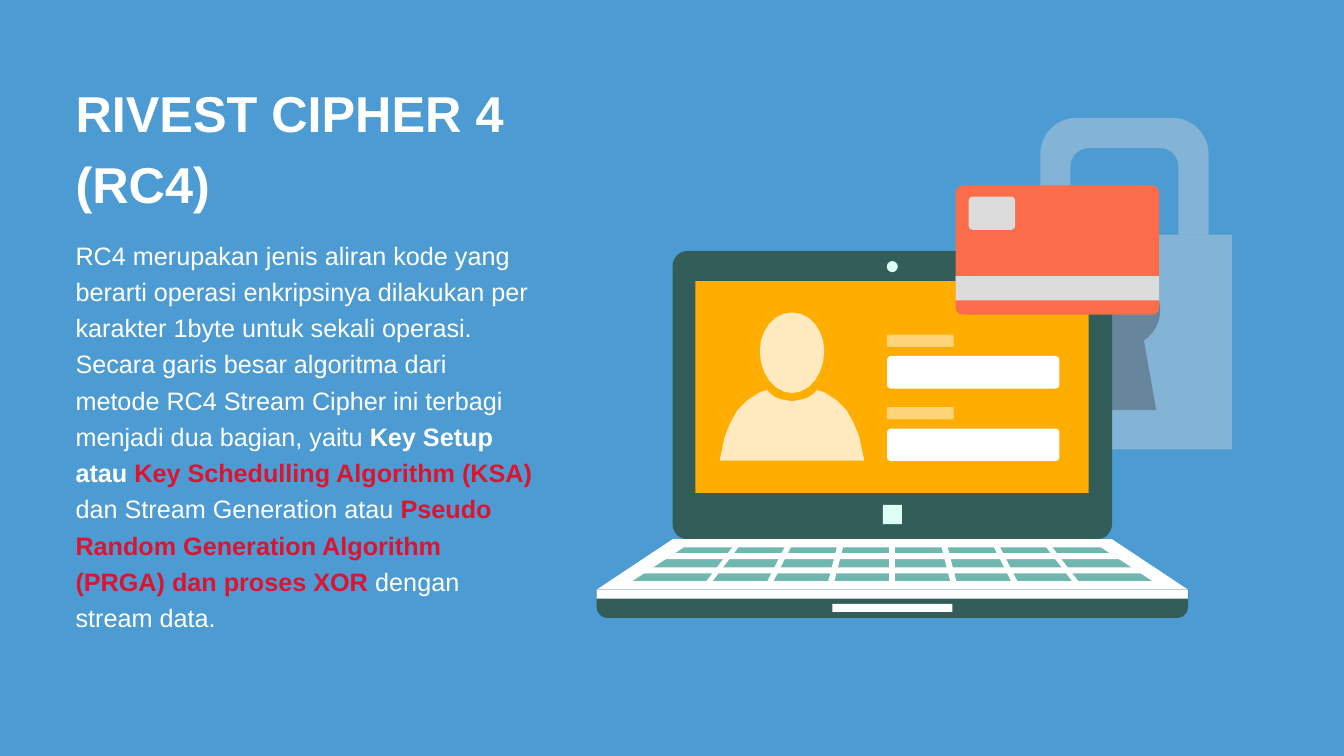
from dataclasses import dataclass
from math import cos, radians, sin

from lxml.etree import SubElement
from pptx import Presentation
from pptx.dml.color import RGBColor
from pptx.enum.shapes import MSO_SHAPE
from pptx.oxml.ns import qn
from pptx.util import Pt


@dataclass(frozen=True)
class Theme:
    """Hold the colours, font and type sizes."""
    sky: str = "4D9BD3"
    white: str = "FFFFFF"
    red: str = "DC1430"
    steel: str = "D9D9D9"
    hole: str = "404040"
    shell: str = "325D58"
    screen: str = "FFAD00"
    mint: str = "DEFFF3"
    keys: str = "70B7AF"
    card: str = "FB6D4A"
    chip: str = "DBDBDB"
    font: str = "Arial"
    title: int = 36
    body: int = 18


THEME = Theme()


def paint(shape, color, alpha=100):
    """Give a shape a flat fill with no line or shadow."""
    shape.shadow.inherit = False
    shape.line.fill.background()
    shape.fill.solid()
    shape.fill.fore_color.rgb = RGBColor.from_string(color)
    if alpha < 100:
        tint = shape.fill._xPr.find(qn("a:solidFill"))[0]
        SubElement(tint, qn("a:alpha")).set("val", str(alpha * 1000))
    return shape


def block(art, box, color, round=0, kind=MSO_SHAPE.RECTANGLE, alpha=100):
    """Draw a preset shape, with round corners if a radius is given."""
    if round:
        kind = MSO_SHAPE.ROUNDED_RECTANGLE
    shape = art.add_shape(kind, *map(Pt, box))
    if round:
        shape.adjustments[0] = round / min(box[2:])
    return paint(shape, color, alpha)


def shard(art, origin, points, color, alpha=100):
    """Draw a closed outline from points relative to an origin."""
    spots = [((origin[0] + x) * 100, (origin[1] + y) * 100) for x, y in points]
    pen = art.build_freeform(*spots[0], scale=Pt(1) / 100)
    pen.add_line_segments(spots[1:], close=True)
    return paint(pen.convert_to_shape(), color, alpha)


def arc(x, y, wide, high, start, end, steps=12):
    """List the points of an elliptic arc, in degrees."""
    turns = [radians(start + (end - start) * i / steps) for i in range(steps + 1)]
    return [(x + wide * cos(t), y + high * sin(t)) for t in turns]


def arch(half, top, foot, curve):
    """List the points of a round arch about x = 0, left to right."""
    return [(-half, foot),
            *arc(curve - half, top + curve, curve, curve, 180, 270),
            *arc(half - curve, top + curve, curve, curve, 270, 360),
            (half, foot)]


def put(par, text, size, color=THEME.white, bold=False):
    """Add a run of text in the given format."""
    run = par.add_run()
    run.text = text
    run.font.name = THEME.font
    run.font.size = Pt(size)
    run.font.bold = bold
    run.font.color.rgb = RGBColor.from_string(color)


def write(slide, box, lines, size, space=None):
    """Fill a text box with lines, each a list of text and format pairs."""
    frame = slide.shapes.add_textbox(*map(Pt, box)).text_frame
    frame.word_wrap = True
    frame.margin_left = frame.margin_right = 0
    frame.margin_top = frame.margin_bottom = Pt(5)
    for i, line in enumerate(lines):
        par = frame.add_paragraph() if i else frame.paragraphs[0]
        par.space_before = Pt(size * 0.2)
        if space:
            par.line_spacing = space
        for text, form in line:
            put(par, text, size, **form)


def draw_lock(art, box):
    """Draw the padlock behind the laptop."""
    x, y, w, h = box
    mid, neck = x + w / 2, 83.5
    block(art, (x, y + neck, w, h - neck), THEME.steel, alpha=39)
    slot = [*arc(0, 137.5, 25.6, 25.6, 123, 417, 30), (22.7, 208.8), (-22.7, 208.8)]
    shard(art, (mid, y), slot, THEME.hole, 39)
    bow = arch(60.1, 0, neck, 25.9) + arch(38.5, 21.6, neck, 13)[::-1]
    shard(art, (mid, y), bow, THEME.steel, 39)


def draw_user(art, box):
    """Draw the head and shoulders of a user."""
    x, y, w, h = box
    spot = (x + w / 2, y)
    head = arc(0, 27.4, 23, 27.4, 180, 360) + arc(0, 27.4, 23, 30.2, 0, 180)
    shard(art, spot, head, THEME.white, 75)
    half = [(0, 63.4), (7.9, 62), (11.9, 60.5), (15.1, 58.3), (18, 55.4),
            (23, 57), (31.7, 62.6), (38.9, 69.8), (43.9, 78.5),
            (48.2, 89.3), (50.4, 100), (w / 2, h)]
    bust = half + [(-px, py) for px, py in half[:0:-1]]
    shard(art, spot, bust, THEME.white, 75)


def draw_screen(art, box):
    """Draw the login screen with its user and two fields."""
    x, y, w, h = box
    block(art, box, THEME.screen)
    draw_user(art, (x + 17.3, y + 22.3, 103.3, 105.8))
    for row in range(2):
        left, top = x + 136.8, y + 38.2 + 51.8 * row
        block(art, (left, top, 47.5, 8.6), THEME.white, 0.7, alpha=47)
        block(art, (left, top + 15.2, 123.1, 23.3), THEME.white, 2.9)


def draw_keys(art, mid, y):
    """Draw the keyboard, with rows and columns cut by white bars."""
    spot = (mid, y)
    shard(art, spot, [(-148.7, 3), (148.7, 3), (185.4, 27), (-185.4, 27)], THEME.keys)
    for col in range(-3, 4):
        top, foot = 36.6 * col, 44 * col
        bar = [(top - 2.2, 0), (top + 2.2, 0), (foot + 2.2, 29), (foot - 2.2, 29)]
        shard(art, spot, bar, THEME.white)
    for down, wide in ((7.3, 335.5), (17.4, 365)):
        block(art, (mid - wide / 2, y + down, wide, 4.3), THEME.white)


def draw_laptop(art, box):
    """Draw the laptop, from lid to base."""
    x, y, w, h = box
    mid, hinge, front = x + w / 2, y + 205.9, y + 241.9
    lid = 313.9
    block(art, (mid - lid / 2, y, lid, 205.9), THEME.shell, 10.8)
    draw_screen(art, (mid - 140.6, y + 21.6, 280.8, 151.2))
    block(art, (mid - 4, y + 7.2, 7.9, 7.9), THEME.mint, kind=MSO_SHAPE.OVAL)
    block(art, (mid - 6.8, y + 181.4, 13.7, 13.7), THEME.mint)
    deck = [(-lid / 2, 0), (lid / 2, 0), (w / 2, 36), (-w / 2, 36)]
    shard(art, (mid, hinge), deck, THEME.white)
    base = block(art, (x, front, w, y + h - front), THEME.shell,
                 kind=MSO_SHAPE.ROUND_2_SAME_RECTANGLE)
    base.adjustments[0], base.adjustments[1] = 0, 0.39
    block(art, (mid - 42.8, front + 10.1, 85.7, 5.8), THEME.white)
    block(art, (x, front, w, 6.5), THEME.white)
    draw_keys(art, mid, hinge + 2.7)


def draw_card(art, box):
    """Draw the bank card with its stripe and chip."""
    x, y, w, h = box
    block(art, box, THEME.card, 5)
    block(art, (x, y + 64.8, w, 17.3), THEME.chip)
    block(art, (x + 9.4, y + 7.9, 33.1, 23.8), THEME.chip, 2.9)


def main():
    """Build the slide and save it."""
    deck = Presentation()
    deck.slide_width, deck.slide_height = Pt(960), Pt(540)
    slide = deck.slides.add_slide(deck.slide_layouts[6])
    fill = slide.background.fill
    fill.solid()
    fill.fore_color.rgb = RGBColor.from_string(THEME.sky)
    bold, key = {"bold": True}, {"bold": True, "color": THEME.red}
    write(slide, (54, 54, 330, 90),
          [[("RIVEST CIPHER 4", bold)], [("(RC4)", bold)]], THEME.title)
    story = [
        ("RC4 merupakan jenis aliran kode yang berarti operasi enkripsinya "
         "dilakukan per karakter 1byte untuk sekali operasi. Secara garis besar "
         "algoritma dari metode RC4 Stream Cipher ini terbagi menjadi dua "
         "bagian, yaitu ", {}),
        ("Key Setup atau ", bold),
        ("Key Schedulling Algorithm (KSA) ", key),
        ("dan Stream Generation atau ", {}),
        ("Pseudo Random Generation Algorithm (PRGA) dan proses XOR ", key),
        ("dengan stream data.", {})]
    write(slide, (54, 162, 330, 300), [story], THEME.body, 1.2)
    art = slide.shapes.add_group_shape().shapes
    draw_lock(art, (726.5, 84.2, 153.4, 236.9))
    draw_laptop(art, (426.2, 179.3, 422.4, 262.1))
    draw_card(art, (682.6, 132.5, 145.4, 92.2))
    deck.save("out.pptx")


if __name__ == "__main__":
    main()
